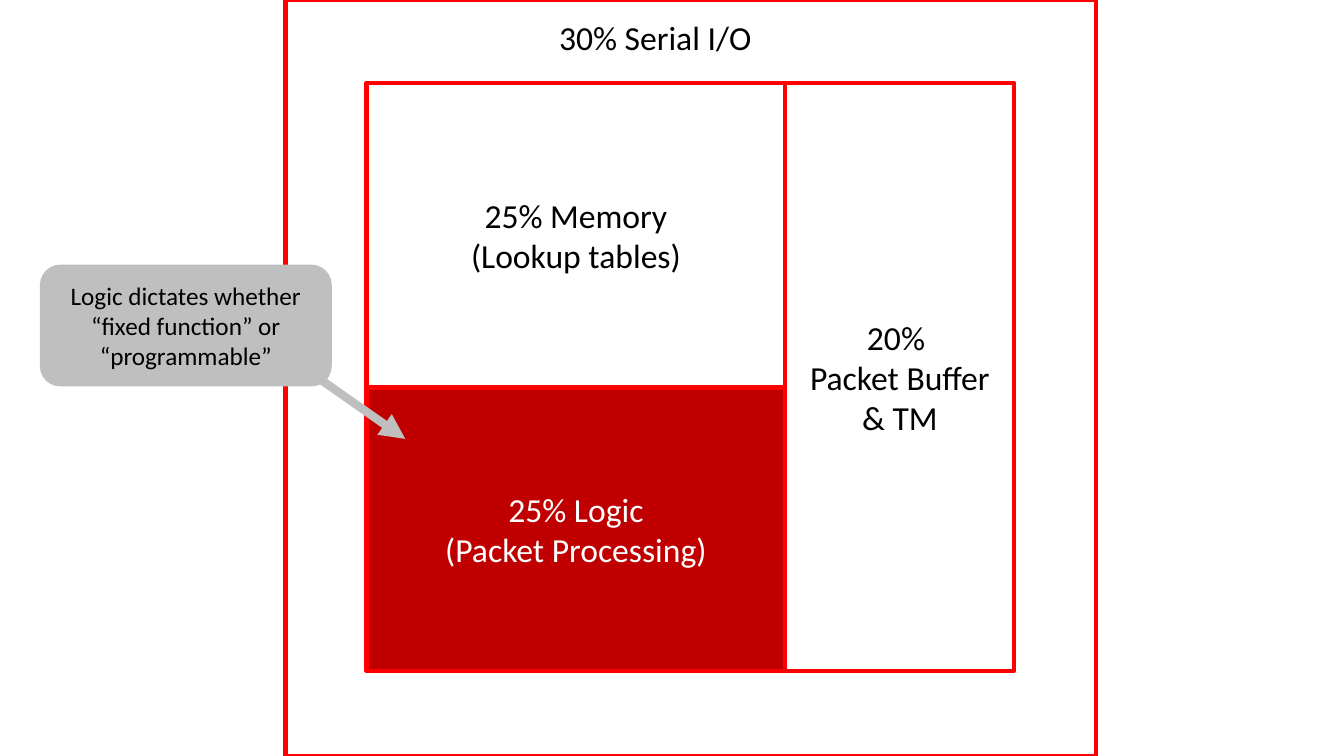
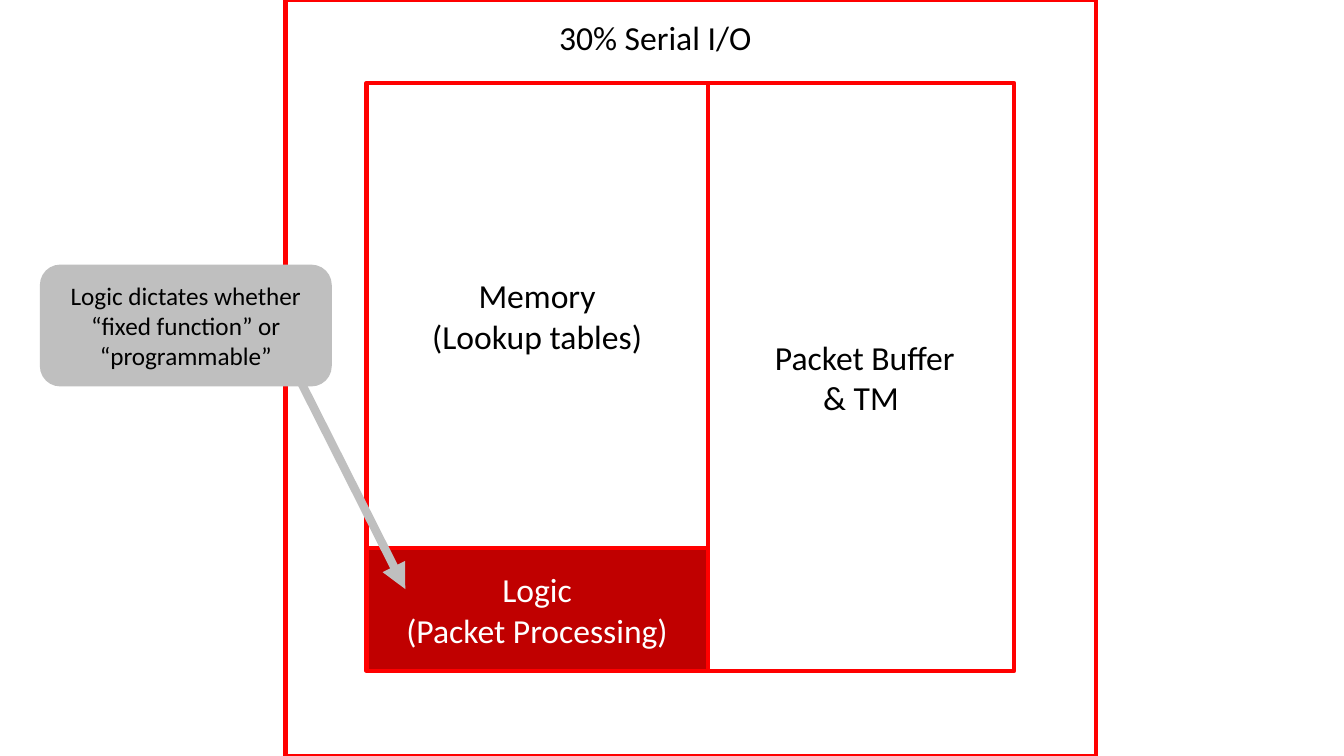
from lxml.etree import SubElement
from pptx import Presentation
from pptx.dml.color import RGBColor
from pptx.enum.shapes import MSO_CONNECTOR as Connector, MSO_SHAPE as Shape
from pptx.enum.text import MSO_ANCHOR as Anchor, PP_ALIGN as Align
from pptx.oxml.ns import qn
from pptx.util import Emu, Pt

PX = 9525
FONT = "Calibri"
RED, DARK_RED, GREY = "FF0000", "C00000", "BFBFBF"
BLACK, WHITE = "000000", "FFFFFF"

DIE = (272, 0, 772, 720)
CORE_LEFT, CORE_TOP, CORE_RIGHT, CORE_BOTTOM = 349, 79, 966, 639
CALLOUT = (38, 252, 278, 116)
CALLOUT_TEXT = "Logic dictates whether “fixed function” or “programmable”"

FLOORPLANS = [
    {
        "buffer_left": 748,
        "logic_top": 369,
        "memory": ["25% Memory", "(Lookup tables)"],
        "logic": ["25% Logic", "(Packet Processing)"],
        "buffer": ["20% ", "Packet Buffer", "& TM"],
        "arrow": (236, 313, 386, 418),
    },
    {
        "buffer_left": 674,
        "logic_top": 522,
        "memory": ["Memory", "(Lookup tables)"],
        "logic": ["Logic", "(Packet Processing)"],
        "buffer": [" Packet Buffer", "& TM"],
        "arrow": (271, 333, 386, 561),
    },
]


def px(*lengths):
    return [Emu(length * PX) for length in lengths]


def color(value):
    return RGBColor.from_string(value)


def write(frame, lines, size=24, ink=BLACK, align=Align.CENTER):
    font_format = {"name": FONT, "size": Pt(size)}
    for index, line in enumerate(lines):
        para = frame.add_paragraph() if index else frame.paragraphs[0]
        para.alignment = align
        span = para.add_run()
        span.text = line
        for name, value in font_format.items():
            setattr(span.font, name, value)
        span.font.color.rgb = color(ink)


def add_box(page, bounds, fill=None, outline=RED, kind=Shape.RECTANGLE):
    box = page.shapes.add_shape(kind, *px(*bounds))
    box.shadow.inherit = False
    if fill:
        box.fill.solid()
        box.fill.fore_color.rgb = color(fill)
    else:
        box.fill.background()
    if outline:
        box.line.color.rgb = color(outline)
        box.line.width = Pt(3)
    else:
        box.line.fill.background()
    frame = box.text_frame
    for name, value in {"word_wrap": True, "vertical_anchor": Anchor.MIDDLE}.items():
        setattr(frame, name, value)
    return box


def add_label(page, bounds, text):
    frame = page.shapes.add_textbox(*px(*bounds)).text_frame
    frame.word_wrap = False
    write(frame, [text], align=Align.LEFT)


def add_arrow(page, ends):
    arrow = page.shapes.add_connector(Connector.STRAIGHT, *px(*ends))
    arrow.line.color.rgb = color(GREY)
    arrow.line.width = Pt(6)
    SubElement(arrow.line._get_or_add_ln(), qn("a:tailEnd"), type="triangle")
    SubElement(arrow._element.spPr, qn("a:effectLst"))


def add_callout(page, arrow_ends):
    """The arrow lies under the box, so that it never crosses the text."""
    add_arrow(page, arrow_ends)
    box = add_box(page, CALLOUT, GREY, None, Shape.ROUNDED_RECTANGLE)
    write(box.text_frame, [CALLOUT_TEXT], size=18)


def add_floorplan(page, plan):
    """Divide the chip core into memory over logic, with the buffer at right."""
    split_x, split_y = plan["buffer_left"], plan["logic_top"]
    blocks = [
        ("logic", CORE_LEFT, split_y, split_x, CORE_BOTTOM, DARK_RED, WHITE),
        ("memory", CORE_LEFT, CORE_TOP, split_x, split_y, WHITE, BLACK),
        ("buffer", split_x, CORE_TOP, CORE_RIGHT, CORE_BOTTOM, WHITE, BLACK),
    ]
    add_box(page, DIE)
    add_label(page, (523, 11, 211, 48), "30% Serial I/O")
    for name, left, top, right, bottom, fill, ink in blocks:
        box = add_box(page, (left, top, right - left, bottom - top), fill)
        write(box.text_frame, plan[name], ink=ink)


def main():
    deck = Presentation()
    deck.slide_width, deck.slide_height = px(1280, 720)
    for plan in FLOORPLANS:
        page = deck.slides.add_slide(deck.slide_layouts[6])
        add_floorplan(page, plan)
        add_callout(page, plan["arrow"])
    deck.save("out.pptx")


if __name__ == "__main__":
    main()
